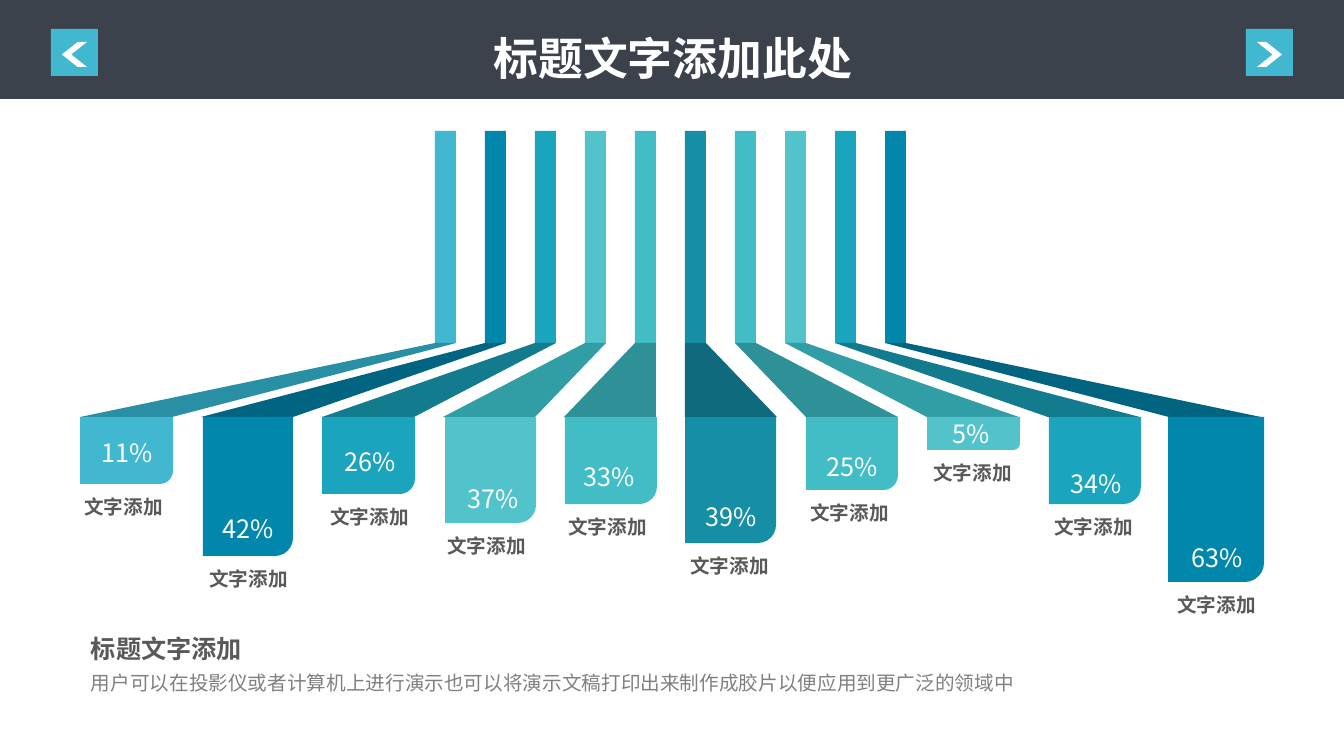
from collections import namedtuple

from lxml import etree
from pptx import Presentation
from pptx.dml.color import RGBColor
from pptx.enum.shapes import MSO_SHAPE as Preset
from pptx.enum.text import MSO_ANCHOR as Anchor, PP_ALIGN as Align
from pptx.oxml.ns import qn
from pptx.util import Pt

EMU_PER_INCH = 914400
PX_PER_INCH = 100.8
SCALE = EMU_PER_INCH / PX_PER_INCH
CJK_FONT = "Noto Sans CJK SC"

COLORS = {
    "band": "3B424B", "white": "FFFFFF", "heading": "595959", "body": "808080",
    "sky": "41B7D0", "sky shade": "298FA4",
    "deep": "0187AC", "deep shade": "016581",
    "cyan": "1AA4BE", "cyan shade": "137B8E",
    "aqua": "52C3CB", "aqua shade": "319DA4",
    "teal": "42BDC6", "teal shade": "2E9198",
    "ocean": "168EA6", "ocean shade": "106A7D",
}

Box = namedtuple("Box", "left top width height")
# Horizontal and vertical places are measured from the chart's box
Column = namedtuple("Column", "percent color left width height value_mid value_top label_mid")
COLUMNS = [
    Column("11%", "sky", 0, 93, 67, 47, 299, 43),
    Column("42%", "deep", 123, 90, 139, 168, 375, 168),
    Column("26%", "cyan", 242, 93, 77, 290, 308, 289),
    Column("37%", "aqua", 365, 91, 106, 413, 345, 406),
    Column("33%", "teal", 485, 92, 87, 529, 323, 527),
    Column("39%", "ocean", 605, 91, 126, 651, 363, 649),
    Column("25%", "teal", 726, 92, 73, 772, 313, 769),
    Column("5%", "aqua", 847, 93, 33, 891, 280, 892),
    Column("34%", "cyan", 969, 92, 87, 1016, 330, 1013),
    Column("63%", "deep", 1088, 96, 165, 1137, 404, 1136),
]


def px(length):
    return round(length * SCALE)


def place(box):
    return [px(length) for length in box]


def color(name):
    return RGBColor.from_string(COLORS[name])


def paint(shape, name):
    shape.shadow.inherit = False
    shape.fill.solid()
    shape.fill.fore_color.rgb = color(name)
    shape.line.fill.background()


def add_preset(slide, preset, box, name, adjustment=None, flip=False):
    shape = slide.shapes.add_shape(preset, *place(box))
    paint(shape, name)
    if adjustment is not None:
        shape.adjustments[0] = adjustment
    if flip:
        shape._element.spPr.find(qn("a:xfrm")).set("flipH", "1")
    return shape


def write(frame, text, size, name, font="Arial", bold=False, align=Align.LEFT, spacing=1.2):
    paragraph = frame.paragraphs[0]
    paragraph.alignment = align
    paragraph.line_spacing = spacing
    run = paragraph.add_run()
    run.text = text
    run.font.size = Pt(size)
    run.font.bold = bold
    run.font.color.rgb = color(name)
    run.font.name = font
    east_asian = etree.SubElement(run.font._element, qn("a:ea"))
    east_asian.set("typeface", CJK_FONT)


def add_text(slide, box, text, size, name, **style):
    frame = slide.shapes.add_textbox(*place(box)).text_frame
    frame.word_wrap = True
    write(frame, text, size, name, **style)
    return frame


def add_arrow_button(slide, box, points_left):
    add_preset(slide, Preset.RECTANGLE, box, "sky")
    arrow = Box(box.left + 11, box.top + 13, 25, 25)
    add_preset(slide, Preset.CHEVRON, arrow, "white", 0.627, points_left)


def add_header(slide, box):
    add_preset(slide, Preset.RECTANGLE, box, "band")
    # Title, brought in front of the band
    title = slide.shapes.title
    title.left, title.top, title.width, title.height = place(
        Box(box.left + 408, box.top + 15, 530, 76))
    slide.shapes._spTree.append(title._element)
    title.text_frame.vertical_anchor = Anchor.TOP
    title.text_frame.word_wrap = True
    write(title.text_frame, "标题文字添加此处", 32, "white", bold=True, align=Align.CENTER)
    # Previous and next buttons
    side, margin = 47, 51
    add_arrow_button(slide, Box(box.left + margin, box.top + 29, side, side), True)
    right = box.left + box.width - margin - side
    add_arrow_button(slide, Box(right, box.top + 29, side, side), False)


def add_column(slide, box, index, column):
    stripe_left, stripe_width, stripe_height = box.left + 355 + 50 * index, 21, 212
    fold = box.top + stripe_height
    block_top = fold + 74
    block_left = box.left + column.left
    # Upright stripe
    stripe = Box(stripe_left, box.top, stripe_width, stripe_height)
    add_preset(slide, Preset.RECTANGLE, stripe, column.color)
    # Slanted shade between stripe and block
    shade_left = box.left + 121 * index
    builder = slide.shapes.build_freeform(px(shade_left), px(block_top))
    corners = [(shade_left + 92, block_top), (stripe_left + stripe_width, fold),
               (stripe_left, fold)]
    builder.add_line_segments([(px(x), px(y)) for x, y in corners])
    paint(builder.convert_to_shape(), column.color + " shade")
    # Block with its lower right corner rounded
    block = add_preset(slide, Preset.ROUND_1_RECTANGLE,
                       Box(block_left, block_top, column.width, column.height),
                       column.color, 0.2, True)
    block.rotation = 180
    # Percentage, in a box wide enough for one line, and label
    value_box = Box(box.left + column.value_mid - 35, box.top + column.value_top, 70, 45)
    value = add_text(slide, value_box, column.percent, 18, "white",
                     font=CJK_FONT, align=Align.CENTER, spacing=1)
    value.vertical_anchor = Anchor.MIDDLE
    value.margin_left = value.margin_right = 0
    value.margin_top = value.margin_bottom = px(7)
    label_top = block_top + column.height + 1
    add_text(slide, Box(box.left + column.label_mid - 64, label_top, 129, 38),
             "文字添加", 14, "heading", bold=True, align=Align.CENTER)


def add_chart_columns(slide, box):
    for index, column in enumerate(COLUMNS):
        add_column(slide, box, index, column)


def add_summary(slide, box):
    add_text(slide, Box(box.left, box.top, 247, 44), "标题文字添加", 18, "heading", bold=True)
    add_text(slide, Box(box.left, box.top + 39, box.width, 37),
             "用户可以在投影仪或者计算机上进行演示也可以将演示文稿打印出来制作成胶片以便应用到更广泛的领域中",
             14, "body")


def main():
    presentation = Presentation()
    presentation.slide_width, presentation.slide_height = px(1344), px(756)
    slide = presentation.slides.add_slide(presentation.slide_layouts[5])
    add_header(slide, Box(0, 0, 1344, 99))
    add_chart_columns(slide, Box(80, 131, 1185, 490))
    add_summary(slide, Box(81, 622, 1041, 76))
    presentation.save("out.pptx")


if __name__ == "__main__":
    main()
